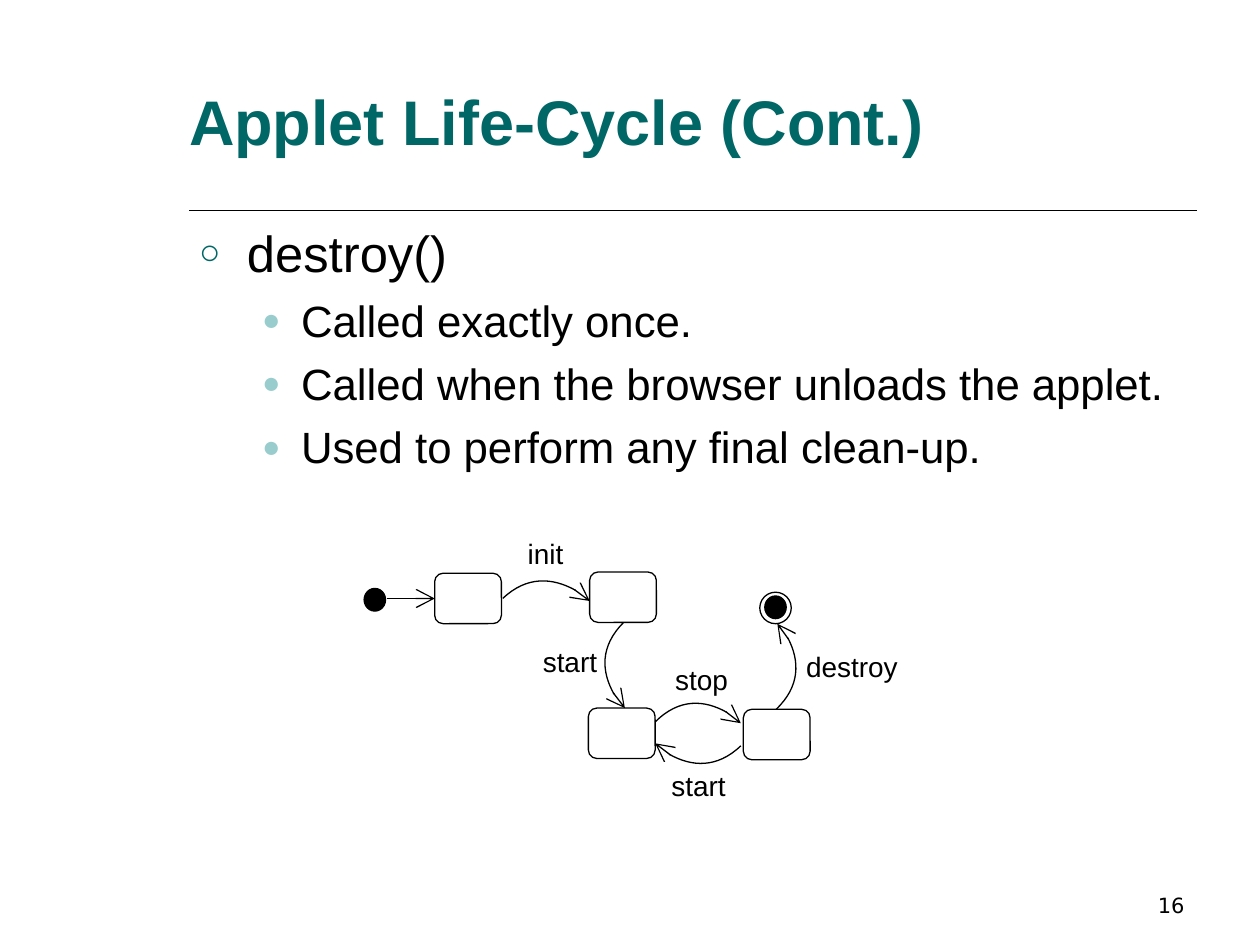
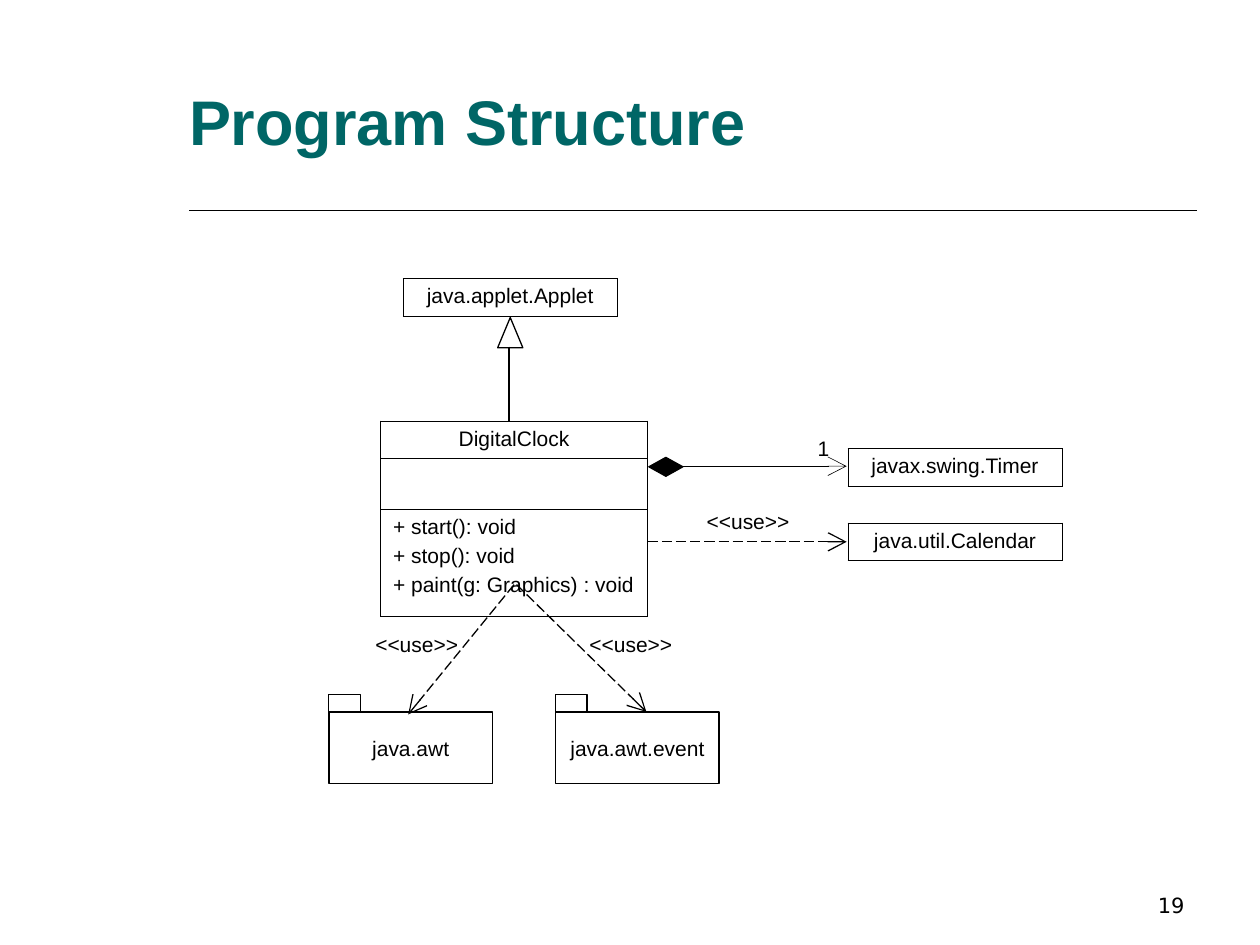
from lxml import etree
from pptx import Presentation
from pptx import util as u
from pptx.dml.color import RGBColor
from pptx.enum import dml, shapes, text
from pptx.oxml.ns import qn

TEAL = "006666"
PALE_TEAL = "99CCCC"
BLACK = "000000"
LEFT, CENTER, RIGHT = text.PP_ALIGN.LEFT, text.PP_ALIGN.CENTER, text.PP_ALIGN.RIGHT


def outline(shape, width=0.75, fill=None, dashed=False, arrow=False):
    if hasattr(shape, "fill"):
        if fill:
            shape.fill.solid()
            shape.fill.fore_color.rgb = RGBColor.from_string(fill)
        else:
            shape.fill.background()
    shape.line.color.rgb = RGBColor.from_string(BLACK)
    shape.line.width = u.Pt(width)
    if dashed:
        shape.line.dash_style = dml.MSO_LINE.LONG_DASH
    properties = shape._element.spPr
    if arrow:
        etree.SubElement(properties.find(qn("a:ln")), qn("a:tailEnd"), type="arrow", w="lg", len="lg")
    etree.SubElement(properties, qn("a:effectLst"))


def write(paragraph, words, size, align=LEFT, color=BLACK, font="Arial", bold=False):
    paragraph.alignment = align
    run = paragraph.add_run()
    run.text = words
    run.font.size = u.Pt(size)
    run.font.name = font
    run.font.bold = bold
    run.font.color.rgb = RGBColor.from_string(color)


presentation = Presentation()
presentation.slide_width = u.Inches(10)
presentation.slide_height = u.Inches(7.5)

diagrams = [
    {
        "layout": 1,
        "title": "Applet Life-Cycle (Cont.)",
        "number": "16",
        "label_size": 16,
        "labels": [
            ("init", 4.09, 4.21, 0.5),
            ("start", 4.21, 5.07, 0.65),
            ("stop", 5.26, 5.21, 0.65),
            ("destroy", 6.3, 5.11, 1),
            ("start", 5.23, 6.05, 0.65),
        ],
        "lines": [(3.07, 4.75, 3.45, 4.75, 0.75, False, True)],
        "shapes": [
            ("ROUNDED_RECTANGLE", 3.45, 4.55, 0.53, 0.4, None),
            ("ROUNDED_RECTANGLE", 4.68, 4.54, 0.53, 0.4, None),
            ("ROUNDED_RECTANGLE", 4.67, 5.62, 0.53, 0.4, None),
            ("ROUNDED_RECTANGLE", 5.9, 5.63, 0.53, 0.4, None),
            ("OVAL", 2.89, 4.67, 0.17, 0.18, BLACK),
            ("OVAL", 6.03, 4.7, 0.25, 0.25, None),
            ("OVAL", 6.07, 4.73, 0.17, 0.18, BLACK),
        ],
    },
    {
        "layout": 5,
        "title": "Program Structure",
        "number": "19",
        "label_size": 12,
        "labels": [
            ("1", 6.39, 3.41, 0.3),
            ("<<use>>", 4.58, 4.96, 0.88),
            ("<<use>>", 2.88, 4.96, 0.88),
            ("<<use>>", 5.51, 3.99, 0.88),
        ],
        "lines": [
            (5.42, 3.7, 6.72, 3.7, 0.37, False, True),
            (4.08, 4.64, 3.24, 5.67, 0.75, True, True),
            (4.1, 4.64, 5.13, 5.65, 0.75, True, True),
            (5.14, 4.3, 6.72, 4.3, 0.75, True, True),
            (4.04, 2.75, 4.04, 3.34, 0.75, False, False),
        ],
        "shapes": [
            ("DIAMOND", 5.15, 3.63, 0.27, 0.15, BLACK),
            ("ISOSCELES_TRIANGLE", 3.95, 2.52, 0.2, 0.24, None),
            ("RECTANGLE", 2.61, 5.51, 0.25, 0.14, None),
            ("RECTANGLE", 4.41, 5.51, 0.25, 0.14, None),
        ],
    },
]

slides = []
for diagram in diagrams:
    slide = presentation.slides.add_slide(presentation.slide_layouts[diagram["layout"]])
    slides.append(slide)

    title = slide.shapes.title
    title.left, title.top, title.width, title.height = map(u.Inches, (1.5, 0.33, 8, 1.25))
    frame = title.text_frame
    frame.vertical_anchor = text.MSO_ANCHOR.MIDDLE
    frame.auto_size = text.MSO_AUTO_SIZE.NONE
    frame.margin_left = frame.margin_right = frame.margin_top = frame.margin_bottom = 0
    write(frame.paragraphs[0], diagram["title"], 36, color=TEAL, bold=True)

    page_number = slide.shapes.add_textbox(*map(u.Inches, (7.17, 6.83, 2.33, 0.5)))
    page_number.text_frame.word_wrap = True
    page_number.text_frame.vertical_anchor = text.MSO_ANCHOR.BOTTOM
    write(page_number.text_frame.paragraphs[0], diagram["number"], 12, RIGHT, font="DejaVu Sans")

    title_rule = (1.5, 1.67, 9.5, 1.67, 1, False, False)
    for *ends, width, dashed, arrow in [title_rule] + diagram["lines"]:
        line = slide.shapes.add_connector(shapes.MSO_CONNECTOR.STRAIGHT, *map(u.Inches, ends))
        outline(line, width, dashed=dashed, arrow=arrow)

    for kind, *place, fill in diagram["shapes"]:
        shape = slide.shapes.add_shape(shapes.MSO_SHAPE[kind], *map(u.Inches, place))
        outline(shape, fill=fill)

    label_height = 0.37 if diagram["label_size"] == 16 else 0.3
    for words, left, top, width in diagram["labels"]:
        label = slide.shapes.add_textbox(*map(u.Inches, (left, top, width, label_height)))
        label.text_frame.word_wrap = False
        label.text_frame.auto_size = text.MSO_AUTO_SIZE.NONE
        write(label.text_frame.paragraphs[0], words, diagram["label_size"])

life_cycle, structure = slides

body = life_cycle.placeholders[1]
body.left, body.top, body.width, body.height = map(u.Inches, (1.48, 1.71, 7.87, 2.39))
body.text_frame.auto_size = text.MSO_AUTO_SIZE.NONE
bullet_styles = [
    (29, 7.3, 0.38, -0.38, "○", TEAL),
    (25, 6.2, 0.81, -0.31, "●", PALE_TEAL),
]
bullets = [
    (0, "destroy()"),
    (1, "Called exactly once."),
    (1, "Called when the browser unloads the applet."),
    (1, "Used to perform any final clean-up."),
]
for index, (level, words) in enumerate(bullets):
    size, space, margin, indent, symbol, color = bullet_styles[level]
    paragraph = body.text_frame.add_paragraph() if index else body.text_frame.paragraphs[0]
    paragraph.level = level
    paragraph.space_before = u.Pt(space)
    write(paragraph, words, size)
    properties = paragraph._p.get_or_add_pPr()
    properties.set("marL", str(u.Inches(margin)))
    properties.set("indent", str(u.Inches(indent)))
    bullet_color = etree.SubElement(properties, qn("a:buClr"))
    etree.SubElement(bullet_color, qn("a:srgbClr"), val=color)
    etree.SubElement(properties, qn("a:buSzPct"), val="70000")
    etree.SubElement(properties, qn("a:buChar"), char=symbol)

transitions = [
    [(3.99, 4.75), (4.18, 4.57), (4.49, 4.58), (4.68, 4.77)],
    [(4.95, 4.94), (4.76, 5.13), (4.77, 5.44), (4.96, 5.62)],
    [(5.2, 5.73), (5.39, 5.54), (5.7, 5.55), (5.88, 5.74)],
    [(5.88, 5.92), (5.69, 6.1), (5.38, 6.09), (5.2, 5.9)],
    [(6.16, 5.63), (6.35, 5.45), (6.36, 5.14), (6.17, 4.95)],
]
for transition in transitions:
    start, *controls = [(u.Inches(x), u.Inches(y)) for x, y in transition]
    builder = life_cycle.shapes.build_freeform(*start)
    builder.add_line_segments(controls, close=False)
    curve = builder.convert_to_shape()
    segments = list(curve._element.iter(qn("a:lnTo")))
    bezier = etree.SubElement(segments[0].getparent(), qn("a:cubicBezTo"))
    for segment in segments:
        bezier.append(segment[0])
        segment.getparent().remove(segment)
    outline(curve, arrow=True)

methods = ["+ start(): void", "+ stop(): void", "+ paint(g: Graphics) : void"]
classes = [
    (3.2, 2.21, 1.7, [(0.3, ["java.applet.Applet"])]),
    (3.02, 3.34, 2.12, [(0.3, ["DigitalClock"]), (0.39, []), (0.85, methods)]),
    (6.73, 3.56, 1.7, [(0.3, ["javax.swing.Timer"])]),
    (6.73, 4.15, 1.7, [(0.3, ["java.util.Calendar"])]),
]
for left, top, width, rows in classes:
    height = sum(row_height for row_height, _ in rows)
    place = map(u.Inches, (left, top, width, height))
    table = structure.shapes.add_table(len(rows), 1, *place).table
    table.first_row = table.horz_banding = False
    for index, (row_height, entries) in enumerate(rows):
        table.rows[index].height = u.Inches(row_height)
        cell = table.cell(index, 0)
        cell_properties = cell._tc.get_or_add_tcPr()
        for side in ("lnL", "lnR", "lnT", "lnB"):
            border = etree.SubElement(cell_properties, qn("a:" + side), w=str(u.Pt(0.45)))
            border_fill = etree.SubElement(border, qn("a:solidFill"))
            etree.SubElement(border_fill, qn("a:srgbClr"), val=BLACK)
        cell.fill.background()
        for number, entry in enumerate(entries):
            paragraph = cell.text_frame.add_paragraph() if number else cell.text_frame.paragraphs[0]
            paragraph.space_before = u.Pt(3)
            write(paragraph, entry, 12, LEFT if entries is methods else CENTER)

for name, left in [("java.awt", 2.61), ("java.awt.event", 4.41)]:
    place = map(u.Inches, (left, 5.65, 1.3, 0.57))
    library = structure.shapes.add_shape(shapes.MSO_SHAPE.RECTANGLE, *place)
    outline(library, 1)
    library.text_frame.vertical_anchor = text.MSO_ANCHOR.MIDDLE
    write(library.text_frame.paragraphs[0], name, 12, CENTER)

presentation.save("out.pptx")
